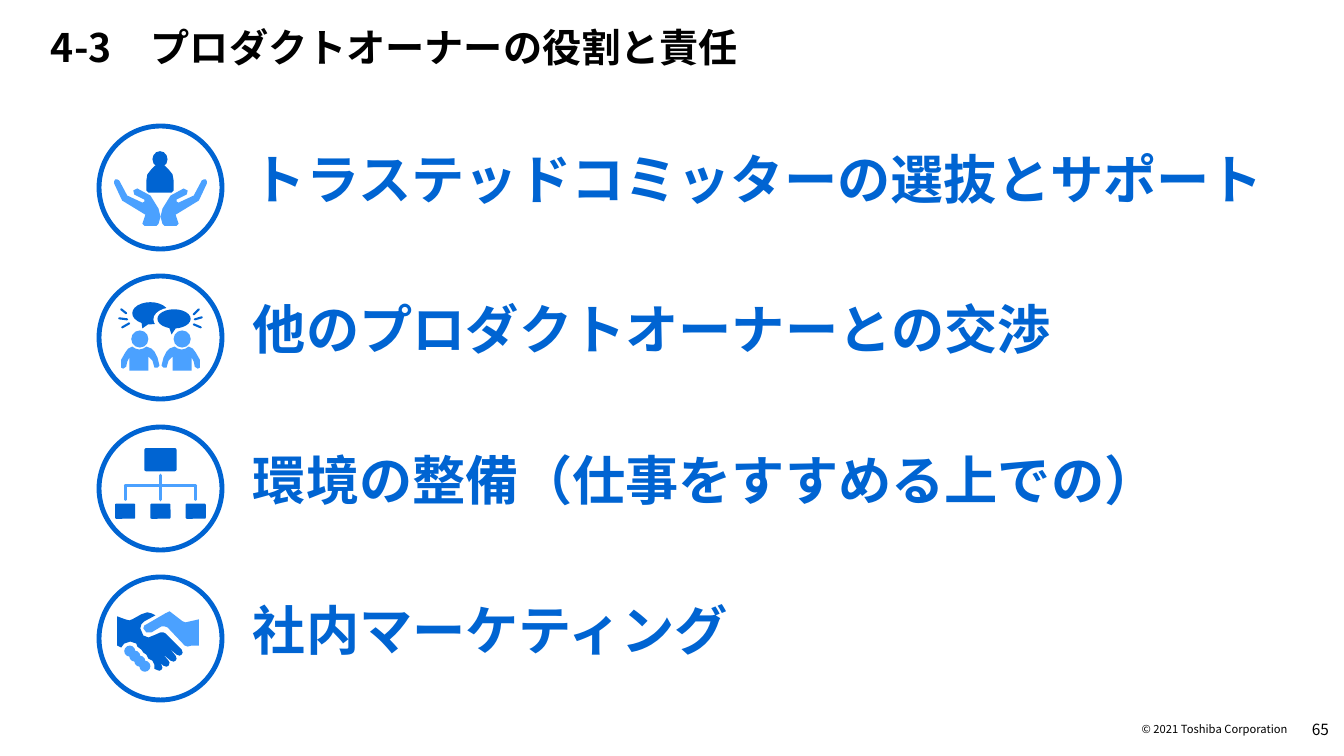
import pptx
import pptx.util
import pptx.dml.color
import pptx.enum.shapes
import pptx.enum.text
import pptx.oxml.ns
from lxml import etree

EMU_PER_PX = 12192000 / 1344
FONT = "Noto Sans CJK JP"
COLOURS = {"text": "000000", "blue": "0064D2", "light": "4BA1FF", "white": "FFFFFF"}
ICON_GRID = 122  # icons are laid out on a square grid of this many units
SHAPES = pptx.enum.shapes.MSO_SHAPE
ALIGN = pptx.enum.text.PP_ALIGN
ANCHOR = pptx.enum.text.MSO_ANCHOR


def px(length):
    return pptx.util.Emu(round(length * EMU_PER_PX))


def colour(name):
    return pptx.dml.color.RGBColor.from_string(COLOURS[name])


def write(shape, text, size, colour_name, bold=False, align=ALIGN.LEFT,
          anchor=ANCHOR.MIDDLE, insets=(0, 0, 0, 0), wrap=True, spacing=None):
    frame = shape.text_frame
    frame.word_wrap = wrap
    frame.auto_size = pptx.enum.text.MSO_AUTO_SIZE.NONE
    frame.vertical_anchor = anchor
    (frame.margin_left, frame.margin_top,
     frame.margin_right, frame.margin_bottom) = map(px, insets)
    paragraph = frame.paragraphs[0]
    paragraph.alignment = align
    if spacing:
        paragraph.line_spacing = spacing
    run = paragraph.add_run()
    run.text = text
    run.font.size = pptx.util.Pt(size)
    run.font.bold = bold
    run.font.color.rgb = colour(colour_name)
    run.font.name = FONT
    east_asian = etree.SubElement(run._r.get_or_add_rPr(), pptx.oxml.ns.qn("a:ea"))
    east_asian.set("typeface", FONT)


def paint(shape, fill, line=None, width=0):
    shape.shadow.inherit = False
    shape.fill.solid()
    shape.fill.fore_color.rgb = colour(fill)
    if line:
        shape.line.color.rgb = colour(line)
        shape.line.width = pptx.util.Pt(width)
    else:
        shape.line.fill.background()
    return shape


class IconCanvas:
    """Draws in grid units inside a square box given in px."""

    def __init__(self, slide, left, top, size):
        self.shapes = slide.shapes
        self.left, self.top, self.unit = left, top, size / ICON_GRID

    def point(self, x, y):
        return px(self.left + x * self.unit), px(self.top + y * self.unit)

    def preset(self, kind, x, y, width, height, fill, line=None, line_width=0):
        shape = self.shapes.add_shape(kind, *self.point(x, y),
                                      px(width * self.unit), px(height * self.unit))
        return paint(shape, fill, line, line_width)

    def ellipse(self, *box_and_paint):
        return self.preset(SHAPES.OVAL, *box_and_paint)

    def block(self, *box_and_paint):
        shape = self.preset(SHAPES.ROUNDED_RECTANGLE, *box_and_paint)
        shape.adjustments[0] = 0.08

    def bubble(self, x, y, width, height, tip_x, tip_y):
        shape = self.preset(SHAPES.OVAL_CALLOUT, x, y, width, height, "blue")
        shape.adjustments[0] = (tip_x - x) / width - 0.5
        shape.adjustments[1] = (tip_y - y) / height - 0.5

    def outline(self, points, fill):
        start, *rest = [self.point(x, y) for x, y in points]
        builder = self.shapes.build_freeform(*start)
        builder.add_line_segments(rest, close=True)
        paint(builder.convert_to_shape(), fill)

    def stroke(self, start_x, start_y, end_x, end_y, name, width):
        connector = self.shapes.add_connector(
            pptx.enum.shapes.MSO_CONNECTOR.STRAIGHT,
            *self.point(start_x, start_y), *self.point(end_x, end_y))
        connector.line.color.rgb = colour(name)
        connector.line.width = pptx.util.Pt(width)
        properties = connector._element.spPr
        properties.get_or_add_ln().set("cap", "rnd")
        etree.SubElement(properties, pptx.oxml.ns.qn("a:effectLst"))


def mirrored(points):
    return [(ICON_GRID - x, y) for x, y in points]


# Person held up by two hands
def draw_support_icon(icon):
    hand = [(51, 69), (38, 62), (34, 64), (35, 68), (45, 73), (45, 75), (43, 76),
            (28, 69), (20, 54), (18, 53), (16, 53), (15, 55), (15, 57), (22, 72),
            (23, 74), (46, 88), (43, 97), (45, 99), (57, 99), (59, 97), (61, 90),
            (59, 82)]
    body = [(47, 64), (49, 66), (72, 66), (74, 64), (74, 54), (73, 48), (69, 43),
            (65, 39), (56, 39), (52, 43), (48, 48), (47, 54)]
    icon.outline(hand, "light")
    icon.outline(mirrored(hand), "light")
    icon.outline(body, "blue")
    icon.ellipse(53, 25, 15, 16, "blue")


# Two people talking
def draw_negotiation_icon(icon):
    body = [(33, 70), (36, 72), (40, 73), (44, 72), (47, 70), (52, 72), (55, 75),
            (58, 81), (60, 89), (58, 91), (55, 91), (53, 84), (49, 80), (49, 94),
            (30, 94), (30, 81), (28, 85), (27, 90), (24, 92), (22, 91), (22, 83),
            (26, 76), (29, 72)]
    icon.bubble(33, 26, 36, 22, 43, 52)
    icon.ellipse(54, 31, 40, 24, "white")
    icon.bubble(58, 33, 33, 19, 72, 58)
    for points, head_left in ((body, 32), (mirrored(body), 74)):
        icon.outline(points, "light")
        icon.ellipse(head_left, 54, 17, 17, "light")
    for ray in ((94, 38, 99, 33), (95, 43, 102, 41), (94, 48, 101, 51),
                (22, 33, 27, 37), (20, 42, 28, 43), (23, 51, 30, 47)):
        icon.stroke(*ray, "blue", 1.5)


# Organisation chart
def draw_environment_icon(icon):
    for line in ((26, 58, 96, 58), (26, 58, 26, 72), (96, 58, 96, 72)):
        icon.stroke(*line, "light", 2)
    icon.stroke(61, 48, 61, 72, "light", 2.5)
    icon.block(45, 21, 32, 23, "blue")
    for column in range(3):
        icon.block(16 + 35 * column, 76, 20, 15, "blue")


# Handshake
def draw_handshake_icon(icon):
    right_hand = [(99, 42), (99, 68), (92, 68), (88, 69), (85, 68), (68, 50), (65, 49),
                  (62, 49), (52, 55), (47, 55), (44, 51), (45, 48), (47, 47), (66, 36),
                  (70, 34), (74, 37), (83, 44), (86, 45)]
    left_hand = [(82, 72), (66, 56), (64, 55), (61, 55), (54, 58), (49, 60), (44, 58),
                 (41, 51), (42, 47), (45, 44), (56, 38), (52, 36), (48, 35), (42, 37),
                 (33, 42), (30, 43), (26, 42), (18, 39), (18, 68), (22, 70), (25, 66),
                 (31, 64), (37, 66), (38, 69), (42, 72), (44, 75), (47, 77), (49, 81),
                 (53, 83), (55, 87), (55, 91), (57, 92), (60, 93), (62, 92), (63, 90),
                 (62, 87), (57, 82), (64, 88), (67, 89), (69, 88), (70, 85), (69, 83),
                 (63, 76), (71, 83), (74, 84), (76, 83), (77, 81), (76, 78), (70, 71),
                 (77, 77), (80, 78), (82, 77), (83, 75)]
    icon.outline(right_hand, "light")
    for finger in range(4):
        icon.ellipse(25 + 5 * finger, 68 + 5 * finger, 11, 11, "light")
    icon.outline(left_hand, "blue")


ROLES = [
    ("トラステッドコミッターの選抜とサポート", draw_support_icon),
    ("他のプロダクトオーナーとの交渉", draw_negotiation_icon),
    ("環境の整備（仕事をすすめる上での）", draw_environment_icon),
    ("社内マーケティング", draw_handshake_icon),
]


def add_title(slide, left, top, width, height):
    title = slide.shapes.title
    title.left, title.top, title.width, title.height = map(px, (left, top, width, height))
    write(title, "4-3\u3000プロダクトオーナーの役割と責任".replace("\u3000", "　"), 28, "text",
          bold=True, anchor=ANCHOR.BOTTOM, insets=(51, 12, 47, 12), spacing=0.9)


def add_role(slide, left, top, size, text, draw_icon):
    label = slide.shapes.add_textbox(px(left + 154), px(top + 31), px(913), px(59))
    write(label, text, 38, "blue", bold=True, insets=(0, 0, 0, 8), wrap=False, spacing=0.9)
    icon = IconCanvas(slide, left, top, size)
    icon.ellipse(0, 0, ICON_GRID, ICON_GRID, "white", "blue", 3.5)
    draw_icon(icon)


def add_footer(slide, left, top, width, height):
    copyright_box = slide.shapes.add_textbox(px(left), px(top + 14), px(width - 41), px(13))
    write(copyright_box, "© 2021 Toshiba Corporation", 8, "text", align=ALIGN.RIGHT, wrap=False)
    number_box = slide.shapes.add_textbox(px(left + width - 46), px(top), px(46), px(height))
    write(number_box, "65", 11, "text", align=ALIGN.RIGHT)


def main():
    presentation = pptx.Presentation()
    presentation.slide_width, presentation.slide_height = px(1344), px(756)
    slide = presentation.slides.add_slide(presentation.slide_layouts[5])
    add_title(slide, 0, 0, 1261, 83)
    for row, (text, draw_icon) in enumerate(ROLES):
        add_role(slide, 99, 126 + row * 301 // 2, 123, text, draw_icon)
    add_footer(slide, 1139, 709, 190, 40)
    presentation.save("out.pptx")


if __name__ == "__main__":
    main()
